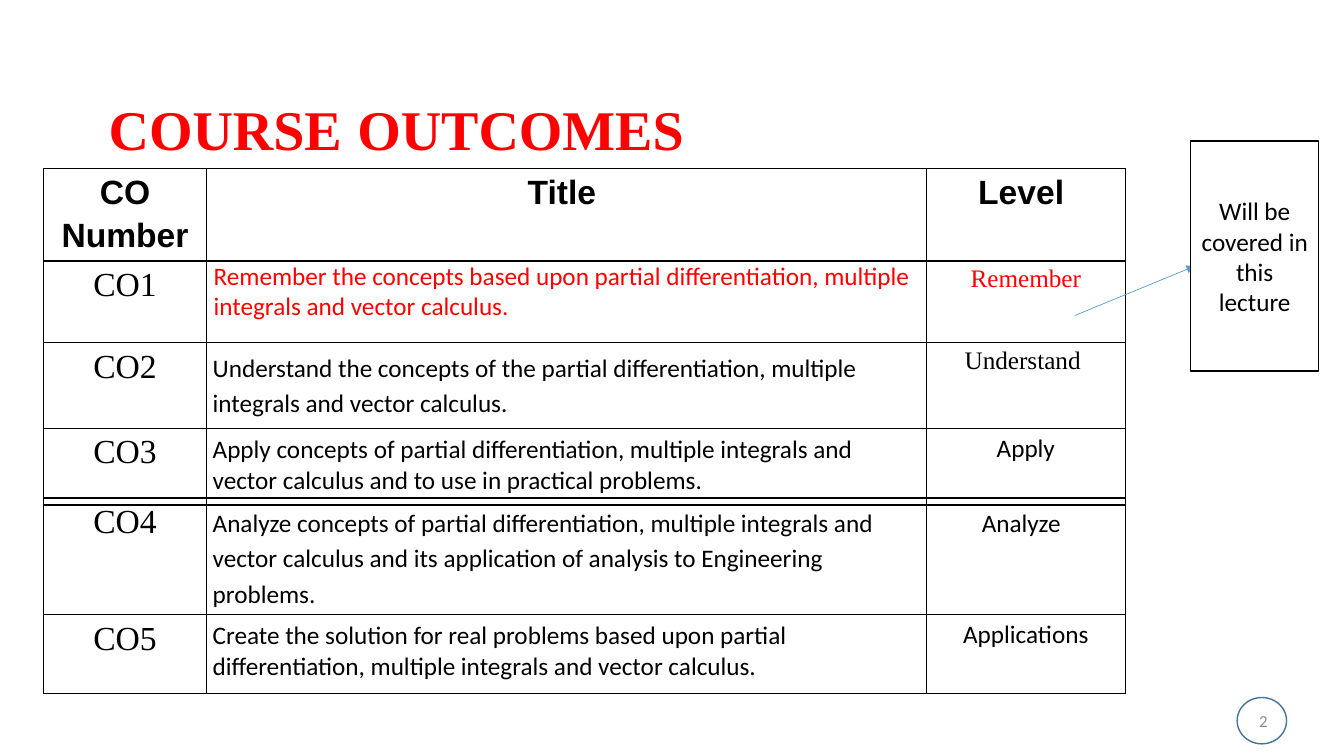
"""Build the course outcomes slide."""
from dataclasses import dataclass

from lxml.etree import SubElement
from pptx import Presentation
from pptx.dml.color import RGBColor
from pptx.enum.shapes import MSO_CONNECTOR, MSO_SHAPE
from pptx.enum.text import MSO_ANCHOR, PP_ALIGN
from pptx.oxml.ns import qn
from pptx.util import Emu, Pt

EMU_PER_PX = 9144
COLOURS = {
    "black": "000000",
    "white": "FFFFFF",
    "red": "FF0000",
    "grey": "8C8C8C",
    "ring": "43739E",
    "arrow": "5B9BD5",
}
SERIF = "Times New Roman"
SANS = "Calibri"
COLUMN_WIDTHS = (162, 714, 197)
SIDE_INSETS = (7, 0, 7, 0)
EVEN_INSETS = (6, 6, 6, 6)


@dataclass(frozen=True)
class CellText:
    text: str
    size: int = 18
    font: str = SANS
    colour: str = "black"
    bold: bool = False
    align: PP_ALIGN = PP_ALIGN.CENTER
    spacing: float = 1.15
    insets: tuple[int, int, int, int] = SIDE_INSETS


@dataclass(frozen=True)
class OutcomeRow:
    height: int
    cells: tuple[CellText, CellText, CellText]


def px(length: int) -> Emu:
    return Emu(length * EMU_PER_PX)


def colour_of(name: str) -> RGBColor:
    return RGBColor.from_string(COLOURS[name])


def write(frame, text: str, *, size: int, font: str = SANS, colour: str = "black",
          bold: bool = False, align: PP_ALIGN = PP_ALIGN.LEFT,
          spacing: float = 1.0) -> None:
    frame.word_wrap = True
    para = frame.paragraphs[0]
    para.alignment = align
    para.line_spacing = spacing
    span = para.add_run()
    span.text = text
    span.font.size = Pt(size)
    span.font.name = font
    span.font.bold = bold
    span.font.color.rgb = colour_of(colour)


def add_text_box(page, left: int, top: int, width: int, height: int, anchor: MSO_ANCHOR):
    frame = page.shapes.add_textbox(px(left), px(top), px(width), px(height)).text_frame
    frame.vertical_anchor = anchor
    return frame


def add_outline_shape(page, kind: MSO_SHAPE, left: int, top: int, width: int,
                      height: int, line: str):
    shape = page.shapes.add_shape(kind, px(left), px(top), px(width), px(height))
    shape.shadow.inherit = False
    shape.fill.background()
    shape.line.color.rgb = colour_of(line)
    shape.line.width = Pt(1)
    return shape


def add_borders(cell) -> None:
    properties = cell._tc.get_or_add_tcPr()
    for side in ("lnL", "lnR", "lnT", "lnB"):
        border = SubElement(properties, qn(f"a:{side}"), w=str(Pt(1)))
        fill = SubElement(border, qn("a:solidFill"))
        SubElement(fill, qn("a:srgbClr"), val=COLOURS["black"])


def add_outcome_table(page, top: int, rows: list[OutcomeRow]) -> None:
    height = sum(row.height for row in rows)
    table = page.shapes.add_table(len(rows), len(COLUMN_WIDTHS), px(43), px(top),
                                  px(sum(COLUMN_WIDTHS)), px(height)).table
    table.first_row = False
    table.horz_banding = False
    for column, width in zip(table.columns, COLUMN_WIDTHS):
        column.width = px(width)
    for table_row, row in zip(table.rows, rows):
        table_row.height = px(row.height)
        for cell, content in zip(table_row.cells, row.cells):
            left, upper, right, lower = content.insets
            cell.margin_left, cell.margin_top = px(left), px(upper)
            cell.margin_right, cell.margin_bottom = px(right), px(lower)
            add_borders(cell)
            cell.fill.background()
            write(cell.text_frame, content.text, size=content.size, font=content.font,
                  colour=content.colour, bold=content.bold, align=content.align,
                  spacing=content.spacing)


def add_arrow(page, start: tuple[int, int], end: tuple[int, int]) -> None:
    arrow = page.shapes.add_connector(MSO_CONNECTOR.STRAIGHT, *map(px, start + end))
    arrow.line.color.rgb = colour_of("arrow")
    arrow.line.width = Pt(0.5)
    SubElement(arrow.line._get_or_add_ln(), qn("a:tailEnd"), type="triangle")
    SubElement(arrow._element.spPr, qn("a:effectLst"))


def heading(text: str) -> CellText:
    return CellText(text, size=24, font="Arial", bold=True)


def code(text: str) -> CellText:
    return CellText(text, size=24, font=SERIF)


def outcome(text: str, spacing: float = 1.0) -> CellText:
    return CellText(text, align=PP_ALIGN.LEFT, spacing=spacing, insets=EVEN_INSETS)


FIRST_ROWS = [
    OutcomeRow(92, (heading("CO Number"), heading("Title "), heading("Level "))),
    OutcomeRow(81, (
        code("CO1"),
        CellText("Remember the concepts based upon partial differentiation, multiple "
                 "integrals and vector calculus.",
                 colour="red", align=PP_ALIGN.LEFT, spacing=1.0),
        CellText("Remember", font=SERIF, colour="red"))),
    OutcomeRow(85, (
        code("CO2"),
        outcome("Understand the concepts of the partial differentiation, multiple "
                "integrals and vector calculus.", 1.15),
        CellText("Understand ", font=SERIF))),
    OutcomeRow(76, (
        code("CO3"),
        outcome("Apply concepts of partial differentiation, multiple integrals and "
                "vector calculus and to use in practical problems."),
        CellText("Apply"))),
]
LAST_ROWS = [
    OutcomeRow(116, (
        code("CO4"),
        outcome("Analyze concepts of partial differentiation, multiple integrals and "
                "vector calculus and its application of analysis to Engineering "
                "problems.", 1.15),
        CellText("Analyze", insets=(7, 6, 16, 0)))),
    OutcomeRow(78, (
        code("CO5"),
        outcome("Create the solution for real problems based upon partial "
                "differentiation, multiple integrals and vector calculus."),
        CellText("Applications"))),
]


def main() -> None:
    deck = Presentation()
    deck.slide_width, deck.slide_height = px(1333), px(750)
    page = deck.slides.add_slide(deck.slide_layouts[6])

    number = add_text_box(page, 967, 695, 300, 40, MSO_ANCHOR.MIDDLE)
    write(number, "2", size=12, colour="grey", align=PP_ALIGN.RIGHT)
    title = add_text_box(page, 98, 90, 776, 77, MSO_ANCHOR.BOTTOM)
    for text, size in (("COURSE", 40), (" ", 44), ("OUTCOMES", 40)):
        write(title, text, size=size, font=SERIF, colour="red", bold=True, spacing=0.9)
    add_outline_shape(page, MSO_SHAPE.OVAL, 1227, 692, 49, 46, "ring")

    add_outcome_table(page, 167, FIRST_ROWS)
    add_arrow(page, (1066, 313), (1185, 264))
    box = add_outline_shape(page, MSO_SHAPE.RECTANGLE, 1181, 140, 127, 228, "black")
    box.fill.solid()
    box.fill.fore_color.rgb = colour_of("white")
    box.text_frame.vertical_anchor = MSO_ANCHOR.MIDDLE
    write(box.text_frame, "Will be covered in this lecture", size=18,
          align=PP_ALIGN.CENTER)
    add_outcome_table(page, 494, LAST_ROWS)

    deck.save("out.pptx")


if __name__ == "__main__":
    main()
